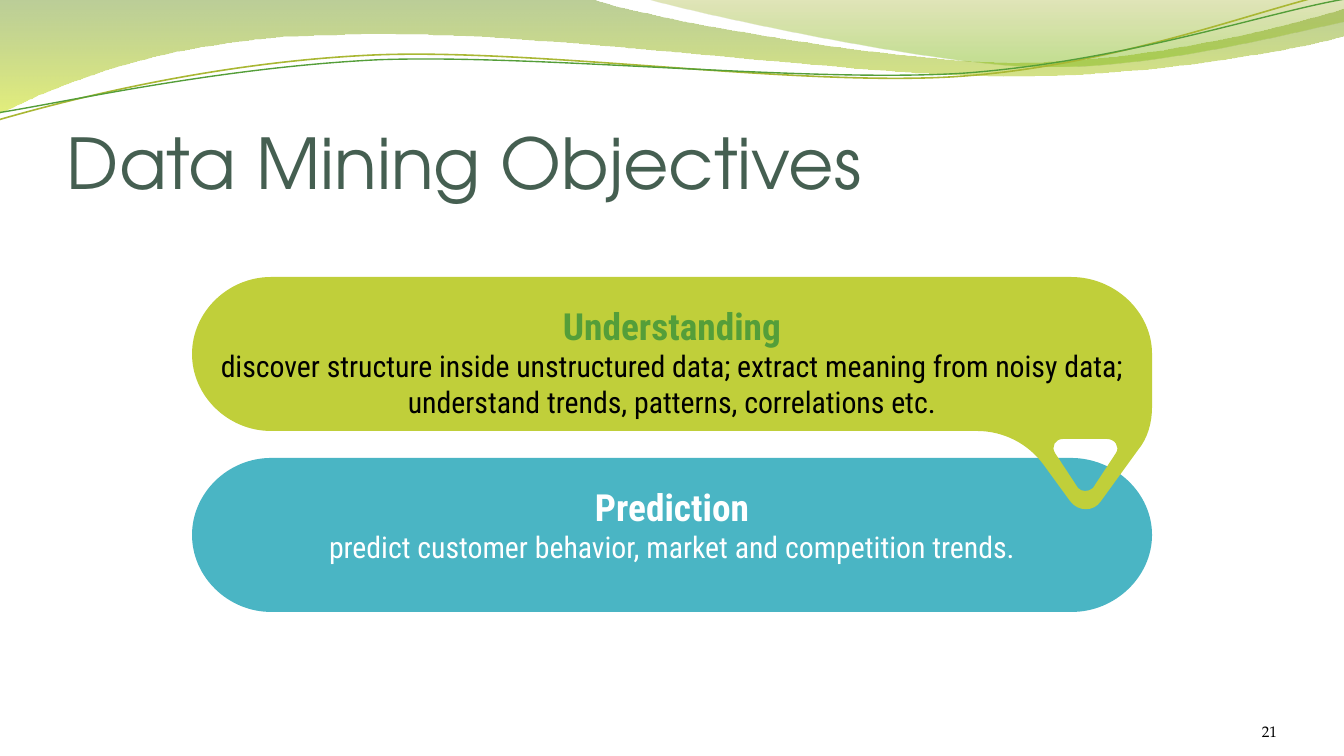
from dataclasses import dataclass
from typing import Any, NamedTuple

from lxml import etree
from pptx import Presentation
from pptx.dml.color import RGBColor
from pptx.enum.text import MSO_ANCHOR, PP_ALIGN
from pptx.oxml.ns import qn
from pptx.util import Pt

EMU_PER_PX = 9144000 / 1344
TOP, BOTTOM = MSO_ANCHOR.TOP, MSO_ANCHOR.BOTTOM
LEFT, CENTER, RIGHT = PP_ALIGN.LEFT, PP_ALIGN.CENTER, PP_ALIGN.RIGHT
STRAND_ROTATION = 357.3

Point = tuple[int, int]
# A segment of one point is a straight line; three points make a Bézier curve.
Segment = tuple[Point, ...]


@dataclass(frozen=True)
class Theme:
    title: str = "455F51"
    black: str = "000000"
    white: str = "FFFFFF"
    green: str = "549E39"
    olive: str = "A9B733"
    lime: str = "C0CF3A"
    teal: str = "4AB5C4"
    wave_dark: str = "69921C"
    wave_light: str = "CCE10F"
    ripple_dark: str = "9BAA1A"
    ripple_light: str = "81BA16"
    title_font: str = "TeX Gyre Adventor"
    number_font: str = "TeX Gyre Pagella"
    body_font: str = "Roboto Condensed"
    title_size: float = 37.5
    heading_size: float = 20
    detail_size: float = 16
    number_size: float = 8.2


THEME = Theme()


class Contour(NamedTuple):
    start: Point
    segments: list[Segment]


class GradientStop(NamedTuple):
    position: float
    color: str
    opacity: int


class Wave(NamedTuple):
    contour: Contour
    stops: tuple[GradientStop, GradientStop]


class Strand(NamedTuple):
    contour: Contour
    color: str
    width: float


class Objective(NamedTuple):
    heading: str
    detail: str
    contours: list[Contour]
    fill: str
    heading_color: str
    detail_color: str


class Label(NamedTuple):
    text: str
    box: tuple[int, int, int, int]
    top_inset: int
    align: PP_ALIGN
    font: str
    size: float
    color: str


def emu(px: float) -> int:
    return round(px * EMU_PER_PX)


def left_cap(top: int) -> list[Segment]:
    """Top edge and rounded left end shared by both objective bubbles."""
    return [((271, top),),
            ((228, top), (192, top + 35), (192, top + 77)),
            ((192, top + 119), (228, top + 154), (271, top + 154))]


WAVES = [
    Wave(Contour((0, 0), [
        ((591, -1),),
        ((638, 17), (891, 63), (1019, 63)),
        ((1147, 63), (1288, 26), (1344, 9)),
        ((1345, 36),),
        ((1321, 44), (1168, 77), (1003, 77)),
        ((836, 75), (512, 28), (345, 35)),
        ((173, 36), (62, 83), (-1, 114)),
        ((0, 0),)]),
        (GradientStop(0, THEME.wave_dark, 45), GradientStop(1, THEME.wave_light, 55))),
    Wave(Contour((644, -1), [
        ((684, 11), (917, 62), (1032, 66)),
        ((1149, 70), (1292, 32), (1344, 22)),
        ((1344, 0),),
        ((644, -1),)]),
        (GradientStop(0, THEME.ripple_dark, 30), GradientStop(0.8, THEME.ripple_light, 45))),
]

STRANDS = [
    Strand(Contour((-3, 88), [
        ((64, 72), (212, 41), (371, 41)),
        ((532, 41), (795, 93), (956, 90)),
        ((1117, 87), (1263, 36), (1343, 23))]), THEME.olive, 0.85),
    Strand(Contour((-3, 81), [
        ((62, 74), (220, 46), (380, 46)),
        ((540, 48), (801, 89), (961, 87)),
        ((1123, 83), (1266, 41), (1346, 31))]), THEME.green, 0.75),
]

PREDICTION_OUTLINE = Contour((1071, 458), left_cap(458) + [
    ((1072, 612),),
    ((1115, 612), (1152, 577), (1152, 535)),
    ((1152, 493), (1115, 458), (1071, 458))])
UNDERSTANDING_OUTLINE = Contour((1071, 277), left_cap(277) + [
    ((977, 431),),
    ((1004, 431), (1028, 444), (1043, 464)),
    ((1070, 501),),
    ((1078, 512), (1094, 512), (1101, 501)),
    ((1138, 450),),
    ((1148, 438), (1152, 422), (1152, 407)),
    ((1152, 354),),
    ((1152, 312), (1115, 277), (1071, 277))])
POINTER_HOLE = Contour((1116, 453), [
    ((1093, 488),),
    ((1089, 492), (1081, 492), (1078, 488)),
    ((1055, 453),),
    ((1051, 447), (1055, 439), (1063, 439)),
    ((1107, 439),),
    ((1115, 439), (1120, 447), (1116, 453))])

OBJECTIVES = [
    Objective("Prediction", "predict customer behavior, market and competition trends.",
              [PREDICTION_OUTLINE], THEME.teal, THEME.white, THEME.white),
    Objective("Understanding",
              "discover structure inside unstructured data; extract meaning from noisy data; "
              "understand trends, patterns, correlations etc.",
              [UNDERSTANDING_OUTLINE, POINTER_HOLE], THEME.lime, THEME.green, THEME.black),
]

LABELS = [
    Label("Data Mining Objectives", (67, 78, 1210, 126), 7, LEFT,
          THEME.title_font, THEME.title_size, THEME.title),
    Label("21", (1166, 701, 111, 40), 0, RIGHT,
          THEME.number_font, THEME.number_size, THEME.black),
]


def apply_format(target: Any, values: dict[str, Any]) -> None:
    for name, value in values.items():
        setattr(target, name, value)


def bend_segments(shape: Any, segments: list[Segment]) -> None:
    """Merge each run of three straight steps that stands for a curve into one Bézier."""
    steps = iter(list(shape._element.iter(qn("a:lnTo"))))
    for segment in segments:
        first, *others = [next(steps) for _ in segment]
        if others:
            first.tag = qn("a:cubicBezTo")
        for step in others:
            first.append(step[0])
            step.getparent().remove(step)


def draw_contours(slide: Any, contours: list[Contour], close: bool = True) -> Any:
    builder = slide.shapes.build_freeform(*map(emu, contours[0].start), scale=1.0)
    for index, contour in enumerate(contours):
        if index:
            builder.move_to(*map(emu, contour.start))
        vertices = [(emu(x), emu(y)) for segment in contour.segments for x, y in segment]
        builder.add_line_segments(vertices, close=close)
    shape = builder.convert_to_shape()
    bend_segments(shape, [segment for contour in contours for segment in contour.segments])
    shape.shadow.inherit = False
    shape.line.fill.background()
    return shape


def draw_wave(slide: Any, wave: Wave) -> None:
    fill = draw_contours(slide, [wave.contour]).fill
    fill.gradient()
    fill.gradient_angle = 270
    for gradient_stop, stop in zip(fill.gradient_stops, wave.stops):
        gradient_stop.position = stop.position
        gradient_stop.color.rgb = RGBColor.from_string(stop.color)
        color = gradient_stop._gs.find(qn("a:srgbClr"))
        etree.SubElement(color, qn("a:alpha"), val=str(stop.opacity * 1000))


def draw_strand(slide: Any, strand: Strand) -> None:
    shape = draw_contours(slide, [strand.contour], close=False)
    shape.rotation = STRAND_ROTATION
    shape.fill.background()
    shape.line.color.rgb = RGBColor.from_string(strand.color)
    shape.line.width = Pt(strand.width)


def set_frame(frame: Any, anchor: MSO_ANCHOR, top: int, others: int) -> None:
    sides = dict.fromkeys(("margin_left", "margin_right", "margin_bottom"), emu(others))
    apply_format(frame, {"word_wrap": True, "vertical_anchor": anchor,
                         "margin_top": emu(top), **sides})


def add_run(paragraph: Any, text: str, font: str, size: float, color: str, bold: bool) -> None:
    run = paragraph.add_run()
    run.text = text
    apply_format(run.font, {"name": font, "size": Pt(size), "bold": bold})
    run.font.color.rgb = RGBColor.from_string(color)


def draw_objective(slide: Any, item: Objective) -> None:
    shape = draw_contours(slide, item.contours)
    shape.fill.solid()
    shape.fill.fore_color.rgb = RGBColor.from_string(item.fill)
    set_frame(shape.text_frame, TOP, 26, 5)
    paragraph = shape.text_frame.paragraphs[0]
    paragraph.alignment = CENTER
    add_run(paragraph, item.heading, THEME.body_font, THEME.heading_size, item.heading_color, True)
    paragraph.add_line_break()
    add_run(paragraph, item.detail, THEME.body_font, THEME.detail_size, item.detail_color, False)


def draw_label(slide: Any, label: Label) -> None:
    frame = slide.shapes.add_textbox(*map(emu, label.box)).text_frame
    set_frame(frame, BOTTOM, label.top_inset, 0)
    paragraph = frame.paragraphs[0]
    paragraph.alignment = label.align
    add_run(paragraph, label.text, label.font, label.size, label.color, False)


def main() -> None:
    deck = Presentation()
    apply_format(deck, {"slide_width": emu(1344), "slide_height": emu(756)})
    slide = deck.slides.add_slide(deck.slide_layouts[6])
    for draw, items in ((draw_wave, WAVES), (draw_strand, STRANDS),
                        (draw_label, LABELS), (draw_objective, OBJECTIVES)):
        for item in items:
            draw(slide, item)
    deck.save("out.pptx")


if __name__ == "__main__":
    main()
